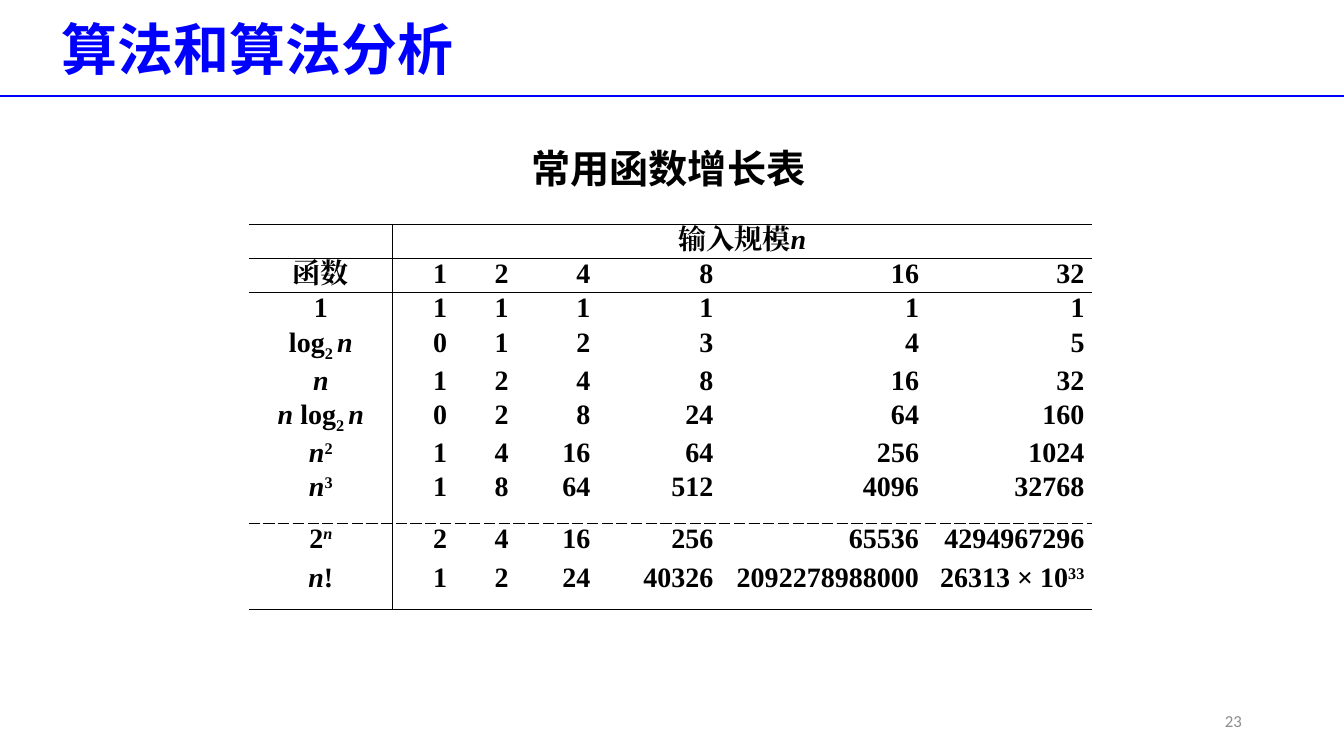
from lxml import etree
from pptx import Presentation
from pptx.dml.color import RGBColor
from pptx.enum import shapes, text
from pptx.oxml import ns
from pptx.util import Cm, Pt

# Content: a label is a list of (text, style) runs
TITLE = "算法和算法分析"
CAPTION = "常用函数增长表"
PAGE_NUMBER = "23"
INPUT_SIZE = [("输入规模", "plain"), ("n", "italic")]
LOG = [("log", "plain"), ("2 ", "sub"), ("n", "italic")]
ROWS = [
    ([("函数", "plain")], ["1", "2", "4", "8", "16", "32"]),
    ([("1", "plain")], ["1", "1", "1", "1", "1", "1"]),
    (LOG, ["0", "1", "2", "3", "4", "5"]),
    ([("n", "italic")], ["1", "2", "4", "8", "16", "32"]),
    ([("n", "italic"), (" ", "plain")] + LOG, ["0", "2", "8", "24", "64", "160"]),
    ([("n", "italic"), ("2", "sup")], ["1", "4", "16", "64", "256", "1024"]),
    ([("n", "italic"), ("3", "sup")], ["1", "8", "64", "512", "4096", "32768"]),
    ([("2", "plain"), ("n", "italic sup")], ["2", "4", "16", "256", "65536", "4294967296"]),
    ([("n", "italic"), ("!", "plain")],
     ["1", "2", "24", "40326", "2092278988000", [("26313 × 10", "plain"), ("33", "sup")]]),
]
COLUMN_WIDTHS = [3.63, 1.55, 1.55, 2.06, 3.1, 5.18, 4.17]
ROW_HEIGHTS = [0.86] * 7 + [1.3, 0.99, 1.19]
HORIZONTAL_RULES = {0: "solid", 1: "solid", 2: "solid", 8: "dash", 10: "solid"}
VERTICAL_RULES = {1: "solid"}

THEME = {
    "title": {"size": Pt(40), "name": "Noto Sans CJK SC", "bold": True, "color": "0000FF"},
    "caption": {"size": Pt(28), "name": "Noto Sans CJK SC", "bold": True, "color": "000000"},
    "table": {"size": Pt(20), "name": "Times New Roman", "bold": True, "color": "000000"},
    "page": {"size": Pt(12), "name": "Calibri", "bold": False, "color": "8C8C8C"},
    "rule": "000000",
}
BASELINES = {"sub": "-25000", "sup": "30000"}
ALIGN = text.PP_ALIGN
ANCHOR = text.MSO_ANCHOR


def write(paragraph, runs, role, alignment):
    paragraph.alignment = alignment
    if isinstance(runs, str):
        runs = [(runs, "plain")]
    for words, style in runs:
        run = paragraph.add_run()
        run.text = words
        for key, value in THEME[role].items():
            if key == "color":
                run.font.color.rgb = RGBColor.from_string(value)
            else:
                setattr(run.font, key, value)
        run.font.italic = "italic" in style
        properties = run._r.get_or_add_rPr()
        east_asian = etree.SubElement(properties, ns.qn("a:ea"))
        east_asian.set("typeface", THEME[role]["name"])
        for key, offset in BASELINES.items():
            if key in style:
                properties.set("baseline", offset)


def add_label(slide, box, words, role, alignment, anchor, spacing=None):
    shape = slide.shapes.add_textbox(*map(Cm, box))
    frame = shape.text_frame
    for key, value in {"word_wrap": True, "vertical_anchor": anchor}.items():
        setattr(frame, key, value)
    write(frame.paragraphs[0], words, role, alignment)
    frame.paragraphs[0].line_spacing = spacing


def set_borders(cell, row, column, span=1):
    edges = {
        "lnL": VERTICAL_RULES.get(column),
        "lnR": VERTICAL_RULES.get(column + span),
        "lnT": HORIZONTAL_RULES.get(row),
        "lnB": HORIZONTAL_RULES.get(row + 1),
    }
    properties = cell._tc.get_or_add_tcPr()
    for position, (tag, dash) in enumerate(edges.items()):
        line = etree.Element(ns.qn(f"a:{tag}"), w=str(Pt(1)))
        if dash:
            fill = etree.SubElement(line, ns.qn("a:solidFill"))
            etree.SubElement(fill, ns.qn("a:srgbClr"), val=THEME["rule"])
            etree.SubElement(line, ns.qn("a:prstDash"), val=dash)
        else:
            etree.SubElement(line, ns.qn("a:noFill"))
        properties.insert(position, line)


def add_growth_table(slide):
    frame = slide.shapes.add_table(
        len(ROW_HEIGHTS), len(COLUMN_WIDTHS), Cm(6.27), Cm(5.66),
        Cm(sum(COLUMN_WIDTHS)), Cm(sum(ROW_HEIGHTS)))
    table = frame.table
    table.first_row = table.horz_banding = False
    for column, width in zip(table.columns, COLUMN_WIDTHS):
        column.width = Cm(width)
    for row, height in zip(table.rows, ROW_HEIGHTS):
        row.height = Cm(height)

    # Header spanning all input sizes, then one line per function
    table.cell(0, 1).merge(table.cell(0, len(COLUMN_WIDTHS) - 1))
    grid = [["", INPUT_SIZE] + [""] * 5] + [[name] + values for name, values in ROWS]
    for row, line in enumerate(grid):
        for column, words in enumerate(line):
            cell = table.cell(row, column)
            margins = {"margin_left": 0.18, "margin_right": 0.18, "margin_top": 0, "margin_bottom": 0}
            for key, value in margins.items():
                setattr(cell, key, Cm(value))
            cell.fill.background()
            span = len(COLUMN_WIDTHS) - 1 if cell.is_merge_origin else 1
            set_borders(cell, row, column, span)
            if words:
                centred = row == 0 or column == 0
                write(cell.text_frame.paragraphs[0], words, "table",
                      ALIGN.CENTER if centred else ALIGN.RIGHT)


def main():
    presentation = Presentation()
    presentation.slide_width, presentation.slide_height = Cm(33.87), Cm(19.05)
    slide = presentation.slides.add_slide(presentation.slide_layouts[6])

    # Title and the line under it
    rule = slide.shapes.add_connector(
        shapes.MSO_CONNECTOR.STRAIGHT, Cm(-0.05), Cm(2.42), Cm(33.98), Cm(2.42))
    rule.line.color.rgb = RGBColor.from_string(THEME["title"]["color"])
    rule.line.width = Pt(1.25)
    etree.SubElement(rule._element.spPr, ns.qn("a:effectLst"))
    add_label(slide, (1.3, 0.03, 29.21, 2.59), TITLE, "title", ALIGN.LEFT, ANCHOR.MIDDLE, 0.9)

    # Caption, table and page number
    add_label(slide, (11.28, 3.51, 11.13, 1.45), CAPTION, "caption", ALIGN.CENTER, ANCHOR.TOP)
    add_growth_table(slide)
    add_label(slide, (23.93, 17.65, 7.62, 1.02), PAGE_NUMBER, "page", ALIGN.RIGHT, ANCHOR.MIDDLE)

    presentation.save("out.pptx")


if __name__ == "__main__":
    main()
